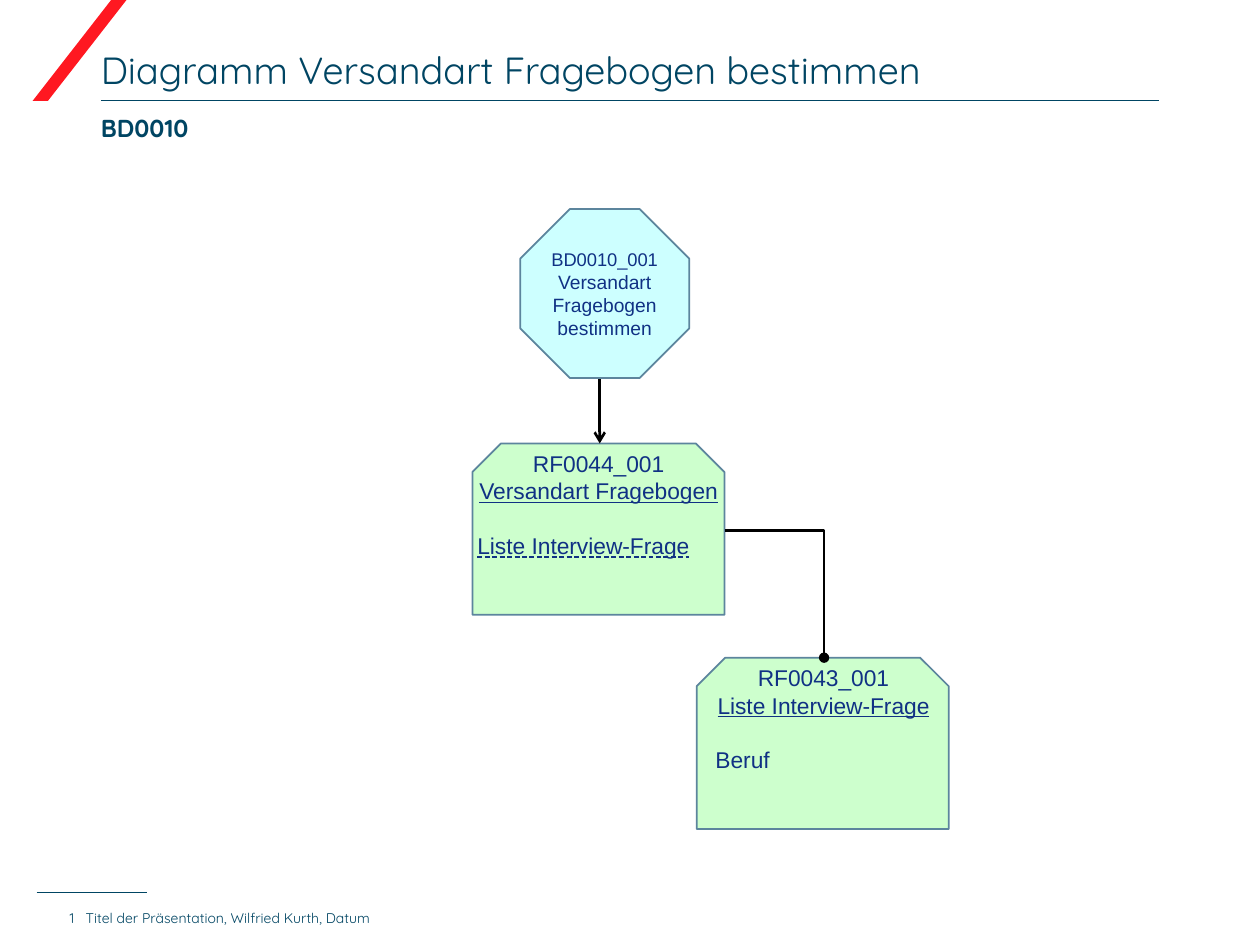
import pptx
import pptx.util
import pptx.dml.color
import pptx.enum.shapes
import pptx.enum.text
import pptx.oxml.ns
from lxml import etree

SCALE = 9144
NAVY, INK, EDGE, GREEN = "004563", "103184", "5C859D", "CDFFCD"
SHAPE = pptx.enum.shapes.MSO_SHAPE
CONNECTOR = pptx.enum.shapes.MSO_CONNECTOR
ALIGN = pptx.enum.text.PP_ALIGN
ANCHOR = pptx.enum.text.MSO_ANCHOR
UNDERLINE = pptx.enum.text.MSO_UNDERLINE
qn = pptx.oxml.ns.qn


def color(value):
    return pptx.dml.color.RGBColor.from_string(value)


def write(frame, text, size=13, font="Arial", ink=INK, bold=False, underline=None,
          align=ALIGN.LEFT, before=0):
    para = frame.paragraphs[0]
    if para.runs:
        para = frame.add_paragraph()
    para.alignment = align
    para.space_before = pptx.util.Pt(before)
    span = para.add_run()
    span.text = text
    span.font.size = pptx.util.Pt(size)
    span.font.name = font
    span.font.bold = bold
    span.font.underline = underline
    span.font.color.rgb = color(ink)
    return para


deck = pptx.Presentation()
deck.slide_width, deck.slide_height = 1000 * SCALE, 750 * SCALE
page = deck.slides.add_slide(deck.slide_layouts[1])
shapes = page.shapes

slash = shapes.add_shape(SHAPE.PARALLELOGRAM, 26 * SCALE, -2 * SCALE, 76 * SCALE, 82 * SCALE)
slash.adjustments[0] = 0.84
slash.shadow.inherit = False
slash.fill.solid()
slash.fill.fore_color.rgb = color("FF1821")
slash.line.fill.background()

title, body = shapes.title, page.placeholders[1]
number = shapes.add_textbox(6 * SCALE, 712 * SCALE, 53 * SCALE, 23 * SCALE)
footer = shapes.add_textbox(68 * SCALE, 712 * SCALE, 313 * SCALE, 23 * SCALE)
title.left, title.top, title.width, title.height = [n * SCALE for n in (80, 36, 840, 37)]
body.left, body.top, body.width, body.height = [n * SCALE for n in (80, 90, 839, 42)]
for box in (title, body, number, footer):
    frame = box.text_frame
    frame.margin_left = frame.margin_top = frame.margin_right = frame.margin_bottom = 0
    frame.word_wrap = True
    frame.auto_size = pptx.enum.text.MSO_AUTO_SIZE.NONE
    frame.vertical_anchor = ANCHOR.TOP if box is body else ANCHOR.BOTTOM

write(title.text_frame, "Diagramm Versandart Fragebogen bestimmen", size=21.6,
      font="Quicksand", ink=NAVY)
write(number.text_frame, "1", size=8, font="Quicksand", ink=NAVY, align=ALIGN.RIGHT)
write(footer.text_frame, "Titel der Präsentation, Wilfried Kurth, Datum", size=8,
      font="Quicksand", ink=NAVY)
subtitle = write(body.text_frame, "BD0010", size=14, font="Quicksand", ink=NAVY,
                 bold=True, before=4.5)
properties = subtitle._p.get_or_add_pPr()
properties.set("marL", str(31 * SCALE))
properties.set("indent", str(-31 * SCALE))
etree.SubElement(properties, qn("a:buNone"))

connectors = [
    (CONNECTOR.STRAIGHT, 29, 708, 117, 708, NAVY, 0.5, None),
    (CONNECTOR.STRAIGHT, 80, 80, 920, 80, NAVY, 0.5, None),
    (CONNECTOR.STRAIGHT, 476, 253, 476, 352, "000000", 1.5, "arrow"),
    (CONNECTOR.ELBOW, 575, 421, 654, 522, "000000", 1.5, "oval"),
]
cards = [
    (375, 352, 369, 212, "RF0044_001", "Versandart Fragebogen",
     "Liste Interview-Frage", UNDERLINE.DASH_LINE),
    (553, 522, 558, 191, "RF0043_001", "Liste Interview-Frage", "Beruf", None),
]

for left, top, text_left, text_width, code, name, attribute, underline in cards:
    card = shapes.add_shape(SHAPE.SNIP_2_SAME_RECTANGLE, left * SCALE, top * SCALE,
                            200 * SCALE, 136 * SCALE)
    card.shadow.inherit = False
    card.fill.solid()
    card.fill.fore_color.rgb = color(GREEN)
    card.line.color.rgb = color(EDGE)
    card.line.width = pptx.util.Pt(1)
    label = shapes.add_textbox(text_left * SCALE, top * SCALE, text_width * SCALE, 98 * SCALE)
    frame = label.text_frame
    frame.word_wrap = False
    write(frame, code, align=ALIGN.CENTER)
    write(frame, name, align=ALIGN.CENTER, underline=True)
    write(frame, attribute, underline=underline, before=15.5)

for kind, x1, y1, x2, y2, ink, width, ending in connectors:
    connector = shapes.add_connector(kind, x1 * SCALE, y1 * SCALE, x2 * SCALE, y2 * SCALE)
    connector.line.color.rgb = color(ink)
    connector.line.width = pptx.util.Pt(width)
    drawing = connector._element.spPr
    if ending:
        etree.SubElement(drawing.find(qn("a:ln")), qn("a:tailEnd"), type=ending)
    if kind == CONNECTOR.ELBOW:
        drawing.find(qn("a:prstGeom")).set("prst", "bentConnector2")
    etree.SubElement(drawing, qn("a:effectLst"))

octagon = shapes.add_shape(SHAPE.OCTAGON, 413 * SCALE, 166 * SCALE, 134 * SCALE, 134 * SCALE)
octagon.shadow.inherit = False
octagon.fill.solid()
octagon.fill.fore_color.rgb = color("CDFFFF")
octagon.line.color.rgb = color(EDGE)
octagon.line.width = pptx.util.Pt(1)
frame = octagon.text_frame
frame.margin_left = frame.margin_top = frame.margin_right = frame.margin_bottom = 4 * SCALE
frame.word_wrap = True
frame.vertical_anchor = ANCHOR.MIDDLE
write(frame, "BD0010_001", size=10.5, align=ALIGN.CENTER)
write(frame, "Versandart Fragebogen bestimmen", size=11, align=ALIGN.CENTER)

deck.save("out.pptx")
